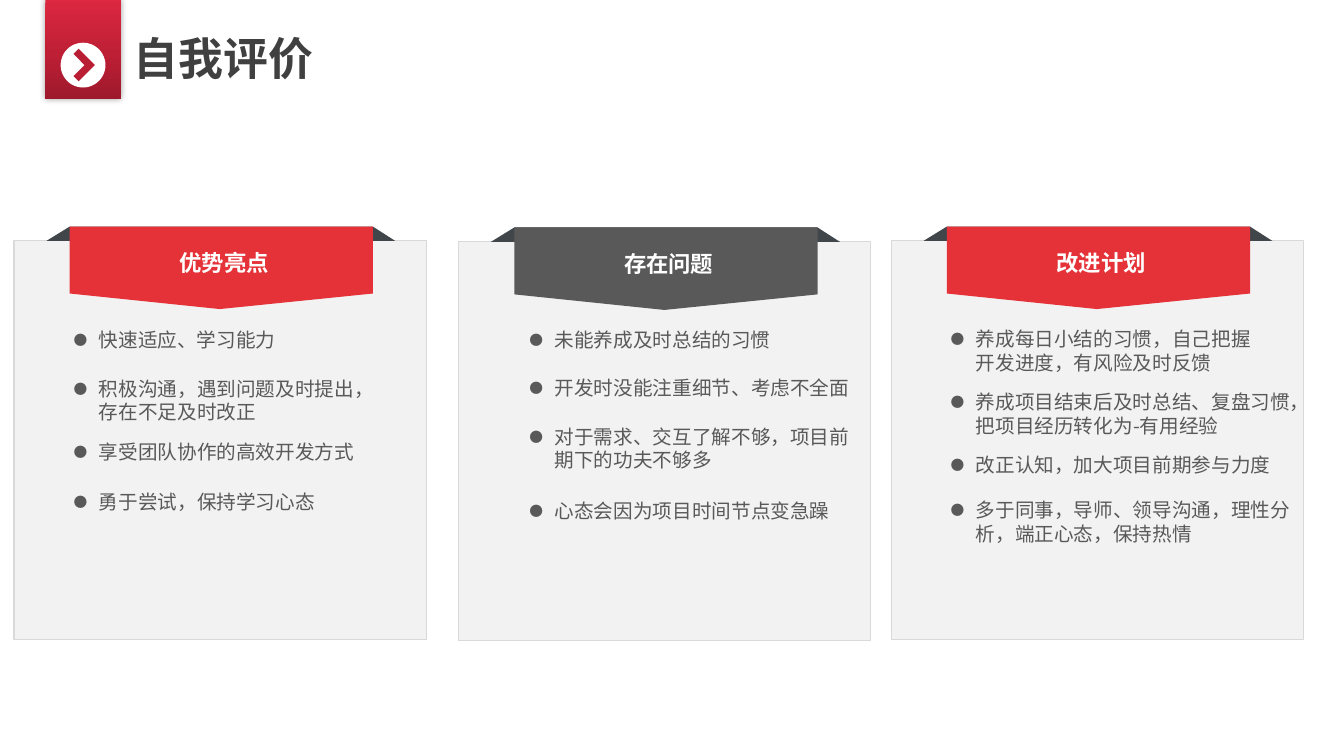
from lxml.etree import SubElement
from pptx import Presentation
from pptx.dml.color import RGBColor
from pptx.enum.shapes import MSO_SHAPE
from pptx.enum.text import PP_ALIGN
from pptx.oxml import parse_xml
from pptx.oxml.ns import nsdecls, qn
from pptx.util import Pt

COLORS = {
    "title": "404040", "body": "595959", "white": "FFFFFF",
    "panel": "F2F2F2", "border": "D9D9D9", "fold": "41464A",
    "red": "E53238", "gray": "595959", "chevron": "BA1E34", "shadow": "000000",
}
TAB_GRADIENT = [(0, "DC2841"), (53, "BF1F35"), (100, "9E192C")]
BODY_FONT = "Noto Sans CJK SC"
LINE_HEIGHT = 1.2
BULLET_INDENT = 18

# heading, band colour, card left, card top, bullet left, bullets (top, width, text)
CARDS = [
    ("优势亮点", "red", 10, 172.1, 52.6, [
        (234, 160, "快速适应、学习能力"),
        (268.9, 212.4, "积极沟通，遇到问题及时提出，存在不足及时改正"),
        (314.2, 212.4, "享受团队协作的高效开发方式"),
        (350.2, 212.4, "勇于尝试，保持学习心态"),
    ]),
    ("改进计划", "red", 636.5, 172.1, 679, [
        (233.6, 216.7, "养成每日小结的习惯，自己把握开发进度，有风险及时反馈"),
        (278.7, 243.4, "养成项目结束后及时总结、复盘习惯，把项目经历转化为-有用经验"),
        (323.5, 243.4, "改正认知，加大项目前期参与力度"),
        (355.9, 243.4, "多于同事，导师、领导沟通，理性分析，端正心态，保持热情"),
    ]),
    ("存在问题", "gray", 327.6, 172.7, 378.2, [
        (234, 197.3, "未能养成及时总结的习惯"),
        (268.2, 231.1, "开发时没能注重细节、考虑不全面"),
        (303.3, 231.1, "对于需求、交互了解不够，项目前期下的功夫不够多"),
        (356.4, 231.1, "心态会因为项目时间节点变急躁"),
    ]),
]


class SlideBuilder:
    def __init__(self, slide):
        self.slide = slide
        self.container = slide.shapes

    def start_group(self):
        """Put the following shapes into a new group."""
        self.container = self.slide.shapes.add_group_shape().shapes

    def end_group(self):
        self.container = self.slide.shapes

    def paint(self, shape, fill, line=None):
        shape.shadow.inherit = False
        shape.fill.solid()
        shape.fill.fore_color.rgb = RGBColor.from_string(COLORS[fill])
        if line:
            shape.line.color.rgb = RGBColor.from_string(COLORS[line])
            shape.line.width = Pt(0.75)
        else:
            shape.line.fill.background()
        return shape

    def preset(self, kind, left, top, width, height, fill, line=None):
        shape = self.container.add_shape(kind, Pt(left), Pt(top), Pt(width), Pt(height))
        return self.paint(shape, fill, line)

    def outline(self, points, fill):
        """Draw a closed polygon."""
        start, *others = [(Pt(x), Pt(y)) for x, y in points]
        builder = self.container.build_freeform(*start)
        builder.add_line_segments(others, close=True)
        return self.paint(builder.convert_to_shape(), fill)

    def text(self, text, left, top, width, height, *, size, color, font=BODY_FONT,
             bold=False, align=PP_ALIGN.LEFT, inset=True, bullet=False):
        box = self.container.add_textbox(Pt(left), Pt(top), Pt(width), Pt(height))
        frame = box.text_frame
        frame.word_wrap = True
        if not inset:
            frame.margin_left = frame.margin_right = 0
            frame.margin_top = frame.margin_bottom = 0
        paragraph = frame.paragraphs[0]
        paragraph.alignment = align
        paragraph.line_spacing = Pt(size * LINE_HEIGHT)
        run = paragraph.add_run()
        run.text = text
        run.font.size = Pt(size)
        run.font.bold = bold
        run.font.name = font
        run.font.color.rgb = RGBColor.from_string(COLORS[color])
        SubElement(run.font._element, qn("a:ea"), typeface=BODY_FONT)
        if bullet:
            self.add_bullet(paragraph)

    def add_bullet(self, paragraph):
        paragraph.level = 1
        properties = paragraph._p.get_or_add_pPr()
        properties.set("marL", str(Pt(BULLET_INDENT)))
        properties.set("indent", str(-Pt(BULLET_INDENT)))
        properties.set("hangingPunct", "1")
        SubElement(properties, qn("a:buSzPct"), val="70000")
        SubElement(properties, qn("a:buFont"), typeface=BODY_FONT)
        SubElement(properties, qn("a:buChar"), char="●")

    def title_tab(self):
        tab = self.preset(MSO_SHAPE.RECTANGLE, 32.4, 0, 54, 70.8, "red")
        stops = "".join(
            f'<a:gs pos="{position * 1000}"><a:srgbClr val="{color}"/></a:gs>'
            for position, color in TAB_GRADIENT)
        properties = tab._element.spPr
        properties.replace(properties.find(qn("a:solidFill")), parse_xml(
            f'<a:gradFill {nsdecls("a")} rotWithShape="1"><a:gsLst>{stops}</a:gsLst>'
            '<a:lin ang="5400000" scaled="0"/></a:gradFill>'))
        properties.replace(properties.find(qn("a:effectLst")), parse_xml(
            f'<a:effectLst {nsdecls("a")}><a:outerShdw blurRad="{Pt(5)}" dist="0" dir="0">'
            f'<a:srgbClr val="{COLORS["shadow"]}"><a:alpha val="40000"/></a:srgbClr>'
            '</a:outerShdw></a:effectLst>'))
        self.start_group()
        self.preset(MSO_SHAPE.OVAL, 43.3, 30.5, 32, 32, "white")
        self.outline([(56.2, 34.8), (67.8, 46.5), (56.2, 58.1),
                      (52.5, 54.4), (60.4, 46.5), (52.5, 38.5)], "chevron")
        self.end_group()

    def card(self, heading, band_color, left, top):
        """Draw a panel with a folded ribbon that carries the heading."""
        ribbon_top = top - 10.2
        band_left, band_right = left + 39.8, left + 256.4
        self.start_group()
        self.preset(MSO_SHAPE.RECTANGLE, left, top, 294.5, 284.6, "panel", "border")
        self.outline([(band_left, ribbon_top), (band_right, ribbon_top),
                      (left + 272.3, top), (left + 23.2, top)], "fold")
        self.outline([(band_left, ribbon_top), (band_right, ribbon_top),
                      (band_right, ribbon_top + 47.8), (left + 147, ribbon_top + 58.9),
                      (band_left, ribbon_top + 47.8)], band_color)
        self.text(heading, left + 77, top + 2.2, 146.2, 26.6, size=16,
                  color="white", bold=True, align=PP_ALIGN.CENTER)
        self.end_group()


def main():
    presentation = Presentation()
    presentation.slide_width, presentation.slide_height = Pt(960), Pt(540)
    slide = presentation.slides.add_slide(presentation.slide_layouts[6])
    builder = SlideBuilder(slide)
    builder.text("自我评价", 88.6, 18.7, 510.5, 46, size=32, color="title",
                 font="Calibri", bold=True)
    builder.title_tab()
    for heading, band_color, left, top, bullet_left, bullets in CARDS:
        builder.card(heading, band_color, left, top)
        for bullet_top, width, text in bullets:
            line_count = 2 if len(text) * 14 > width else 1
            builder.text(text, bullet_left, bullet_top, width, 17 * line_count,
                         size=14, color="body", inset=False, bullet=True)
    presentation.save("out.pptx")


if __name__ == "__main__":
    main()
